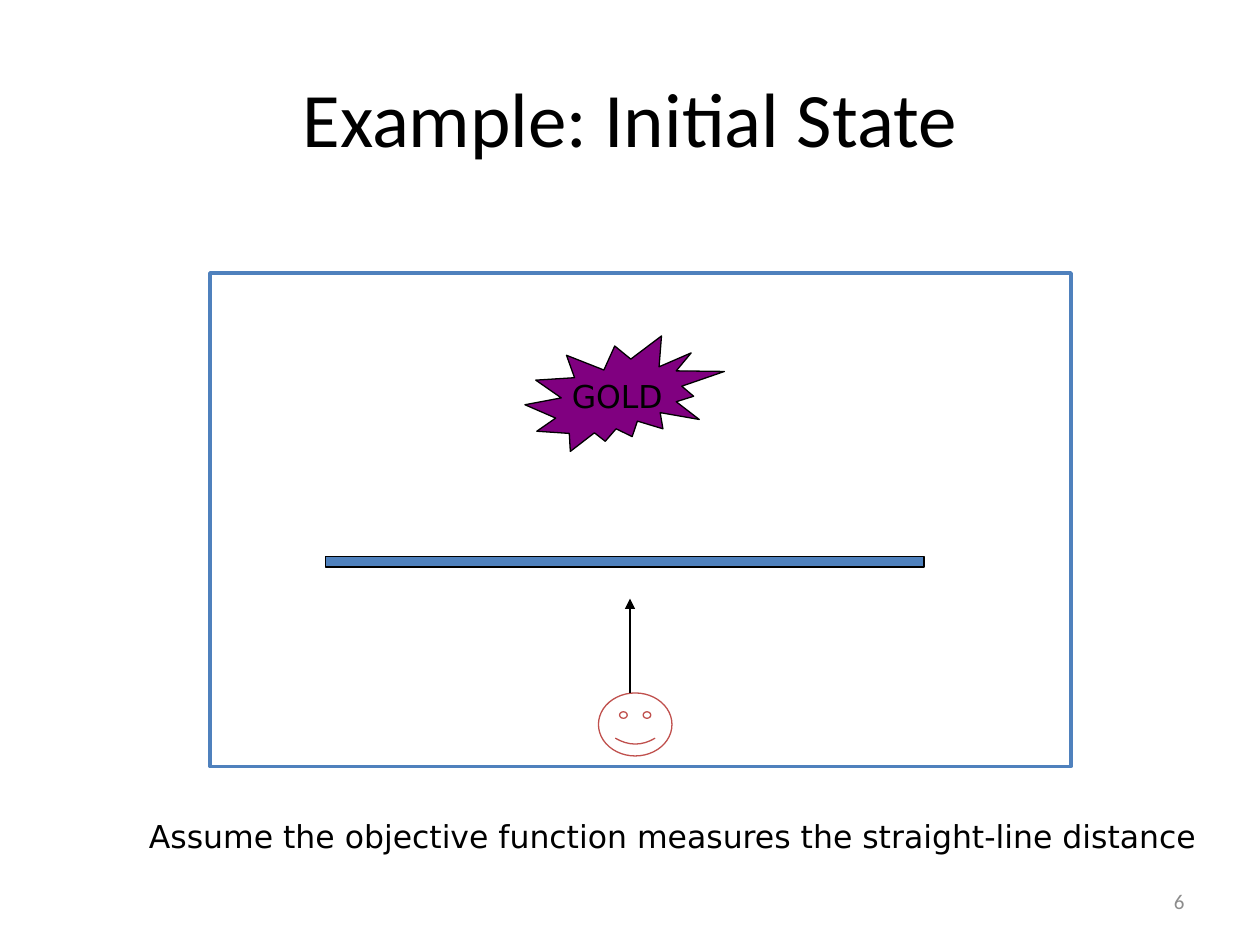
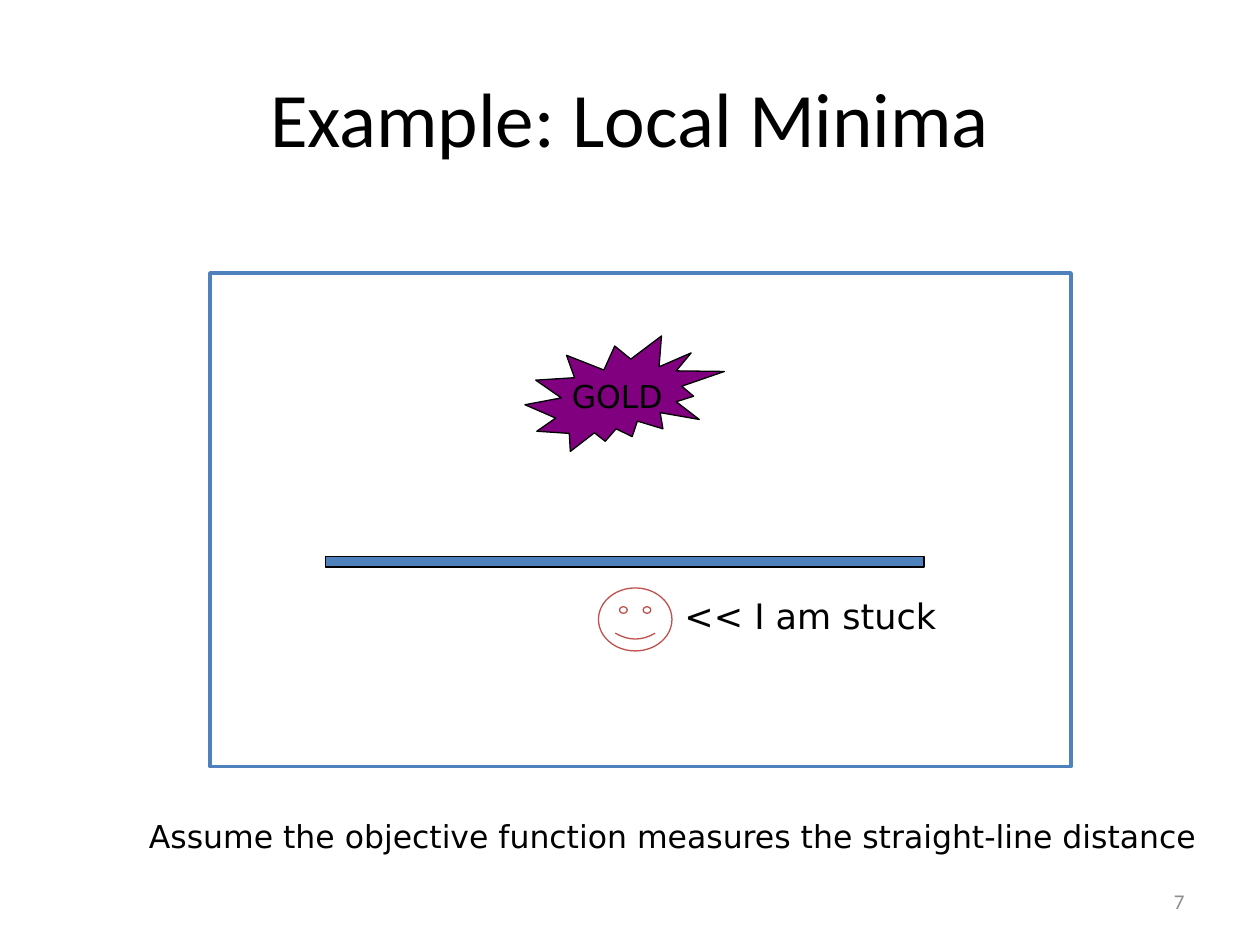
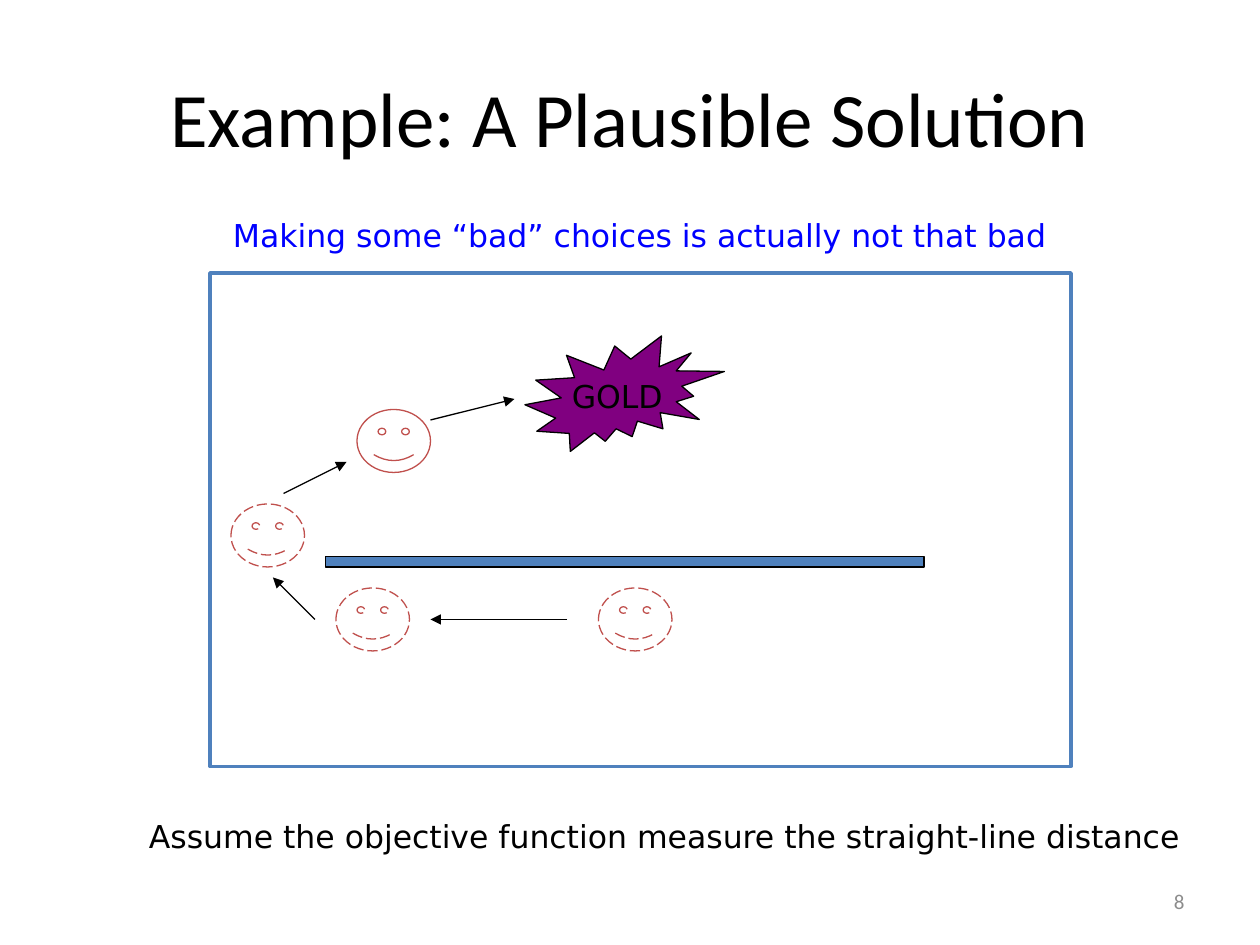
from pptx import Presentation
from pptx.dml.color import RGBColor
from pptx.enum.dml import MSO_LINE
from pptx.enum.shapes import MSO_CONNECTOR, MSO_SHAPE
from pptx.enum.text import MSO_ANCHOR, PP_ALIGN
from pptx.oxml.ns import qn
from pptx.util import Inches, Pt
from lxml.etree import SubElement

# Shared grid: 120 columns by 90 rows of square cells
CELL = Inches(10) // 120
BLACK, BLUE, RED, PURPLE = "000000", "4F81BD", "C0504D", "800080"
GREY, BRIGHT_BLUE = "8C8C8C", "0000FF"
FACE_SIZE = (7, 6)
CAPTION_AREA = (13, 77.2, 106, 4.8)

# Shared text styles: font, size, colour, alignment, anchor
TITLE = ("Calibri", 44, BLACK, PP_ALIGN.CENTER, MSO_ANCHOR.MIDDLE)
NUMBER = ("Calibri", 12, GREY, PP_ALIGN.RIGHT, MSO_ANCHOR.MIDDLE)
GOLD = ("DejaVu Sans", 18, BLACK, PP_ALIGN.CENTER, MSO_ANCHOR.MIDDLE)
CAPTION = ("DejaVu Sans", 18, BLACK, PP_ALIGN.LEFT, MSO_ANCHOR.TOP)
REMARK = ("DejaVu Sans", 18, BRIGHT_BLUE, PP_ALIGN.LEFT, MSO_ANCHOR.TOP)
SPEECH = ("DejaVu Sans", 20, BLACK, PP_ALIGN.LEFT, MSO_ANCHOR.TOP)

# What differs from slide to slide; faces are (column, row, dash)
slides = [
    {"title": "Example: Initial State",
     "faces": [(57, 66, None)],
     "arrows": [(60, 66, 60, 57)],
     "texts": [("Assume the objective function measures the straight-line distance",
                CAPTION_AREA, CAPTION)]},
    {"title": "Example: Local Minima",
     "faces": [(57, 56, None)],
     "arrows": [],
     "texts": [("Assume the objective function measures the straight-line distance",
                CAPTION_AREA, CAPTION),
               ("<< I am stuck", (64, 56, 39, 5.2), SPEECH)]},
    {"title": "Example: A Plausible Solution",
     "faces": [(34, 39, None), (57, 56, MSO_LINE.LONG_DASH),
               (32, 56, MSO_LINE.LONG_DASH), (22, 48, MSO_LINE.LONG_DASH)],
     "arrows": [(54, 59, 41, 59), (30, 59, 26, 55),
                (27, 47, 33, 44), (41, 40, 49, 38)],
     "texts": [("Assume the objective function measure the straight-line distance",
                CAPTION_AREA, CAPTION),
               ("Making some “bad” choices is actually not that bad",
                (21, 20, 82, 4.8), REMARK)]},
]


def write(shape, text, style, wrap=True):
    font_name, size, colour, alignment, anchor = style
    frame = shape.text_frame
    frame.word_wrap = wrap
    frame.vertical_anchor = anchor
    paragraph = frame.paragraphs[0]
    paragraph.alignment = alignment
    run = paragraph.add_run()
    for name, value in {"name": font_name, "size": Pt(size)}.items():
        setattr(run.font, name, value)
    run.font.color.rgb = RGBColor.from_string(colour)
    run.text = text


def draw(slide, kind, area, fill, line, width=0.75, dash=None):
    shape = slide.shapes.add_shape(kind, *[int(cells * CELL) for cells in area])
    shape.shadow.inherit = False
    if fill:
        shape.fill.solid()
        shape.fill.fore_color.rgb = RGBColor.from_string(fill)
    else:
        shape.fill.background()
    shape.line.color.rgb = RGBColor.from_string(line)
    for name, value in {"width": Pt(width), "dash_style": dash}.items():
        setattr(shape.line, name, value)
    return shape


presentation = Presentation()
presentation.slide_width = 120 * CELL
presentation.slide_height = 90 * CELL

for number, content in enumerate(slides, start=6):
    slide = presentation.slides.add_slide(presentation.slide_layouts[6])

    # Room, wall and gold
    draw(slide, MSO_SHAPE.RECTANGLE, (20, 26, 82, 47), None, BLUE, width=2)
    draw(slide, MSO_SHAPE.RECTANGLE, (31, 53, 57, 1), BLUE, BLACK)
    gold = draw(slide, MSO_SHAPE.EXPLOSION2, (50, 32, 19, 11), PURPLE, BLACK)
    write(gold, "GOLD", GOLD, wrap=False)

    # Faces
    for column, row, dash in content["faces"]:
        draw(slide, MSO_SHAPE.SMILEY_FACE, (column, row, *FACE_SIZE), None, RED, dash=dash)

    # Arrows
    for ends in content["arrows"]:
        arrow = slide.shapes.add_connector(
            MSO_CONNECTOR.STRAIGHT, *[cells * CELL for cells in ends])
        arrow.line.color.rgb = RGBColor.from_string(BLACK)
        arrow.line.width = Pt(0.75)
        SubElement(arrow.line._get_or_add_ln(), qn("a:tailEnd"), type="triangle")
        SubElement(arrow._element.spPr, qn("a:effectLst"))

    # Title, page number, caption and remarks
    texts = [(content["title"], (6, 3.6, 108, 15), TITLE),
             (str(number), (86, 83.4, 28, 4.8), NUMBER)]
    for text, area, style in texts + content["texts"]:
        box = slide.shapes.add_textbox(*[int(cells * CELL) for cells in area])
        write(box, text, style)

presentation.save("out.pptx")
